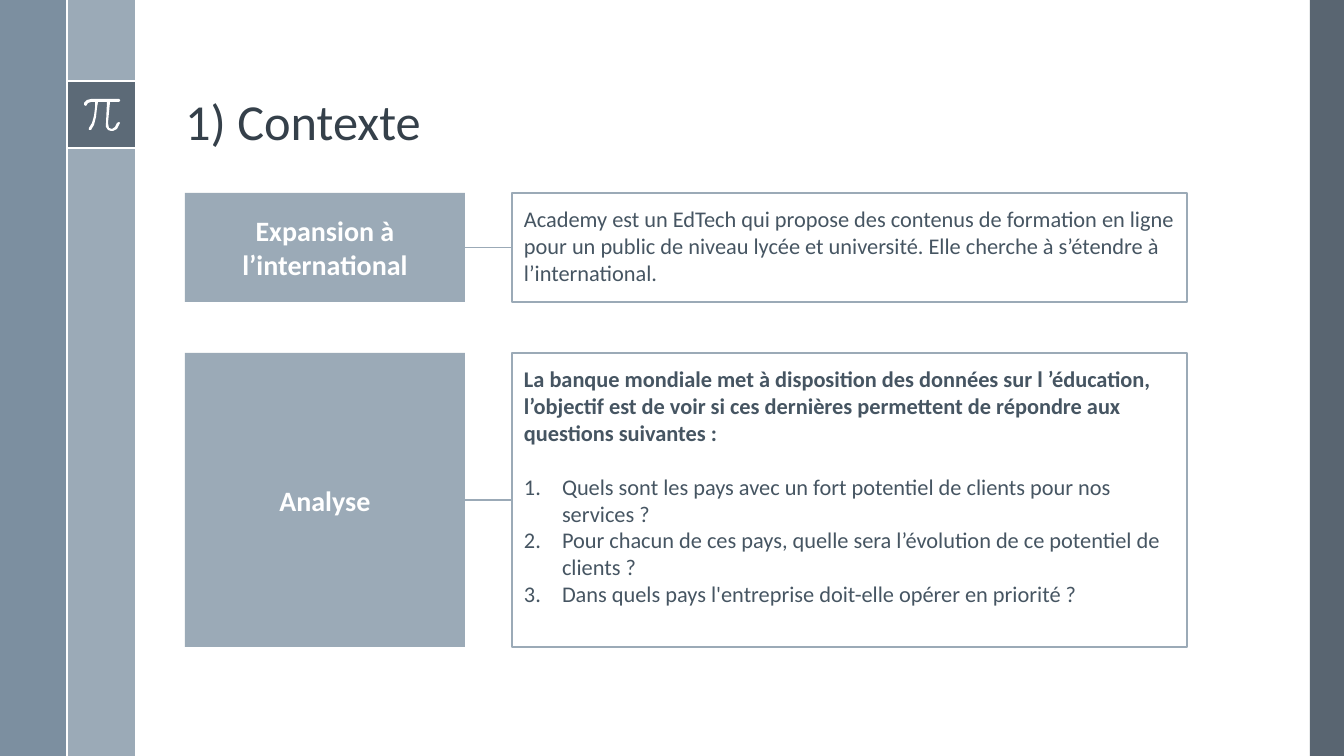
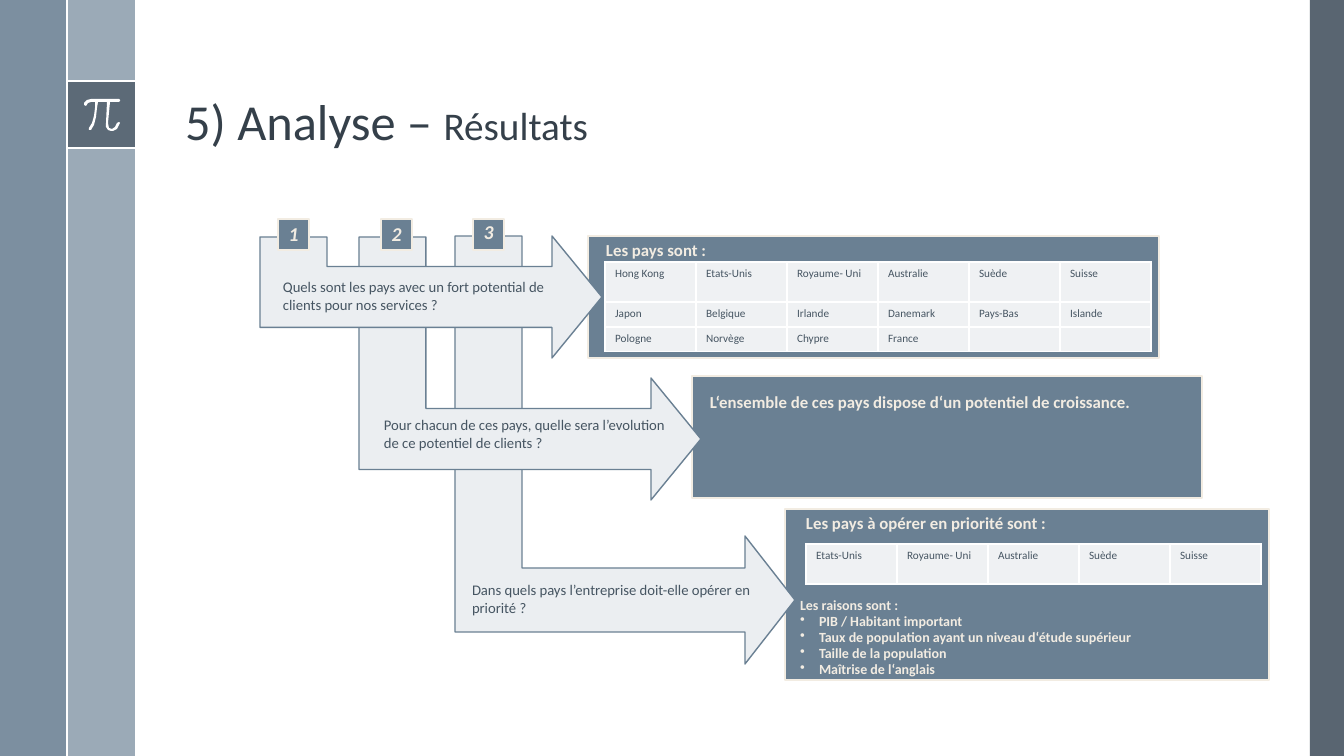
"""Build two slides, context and results, on a shared banded layout."""
from lxml.etree import SubElement
from pptx import Presentation
from pptx.dml.color import RGBColor
from pptx.enum.shapes import MSO_CONNECTOR, MSO_SHAPE
from pptx.enum.text import MSO_ANCHOR, MSO_AUTO_SIZE, PP_ALIGN
from pptx.oxml.ns import qn
from pptx.oxml.xmlchemy import OxmlElement
from pptx.util import Pt

SCALE = 914400 / 100.8
SLIDE_SIZE = (1344, 756)

WHITE, MIST, SLATE, DARK = "FFFFFF", "9BAAB7", "6A8093", "475562"
INK, TITLE_INK, CREAM = "465562", "35404A", "F2ECE2"
ARROW_FILL, CELL_FILL = "EBEEF1", "EFF1F3"

BANDS = [
    ((1310, 0, 34, 756), DARK, 90),
    ((67, 0, 68, 756), MIST, 100),
    ((0, 0, 67, 756), SLATE, 88),
    ((67, 81, 68, 67), DARK, 75),
]
BAND_LINES = [((67, 81), (135, 81)), ((67, 148), (135, 148)), ((67, 0), (67, 756))]
PI_OUTLINE = [
    (119, 99), (91, 99), (87, 100), (84, 103), (84, 105), (86, 106), (88, 103), (91, 102),
    (95, 102), (95, 108), (94, 116), (92, 123), (89, 128), (89, 130), (91, 130), (94, 125),
    (96, 117), (97, 108), (98, 102), (107, 102), (106, 123), (106, 127), (108, 130),
    (111, 131), (113, 131), (117, 129), (120, 123), (119, 122), (117, 123), (115, 127),
    (112, 129), (109, 128), (108, 123), (110, 102), (119, 102), (120, 101), (120, 100),
]

TITLE_BOX = (175, 19, 1079, 137)
TITLES = {
    "context": [("1) Contexte", 36)],
    "results": [("5) Analyse – ", 36), ("Résultats", 28)],
}

CARD_LABEL_LEFT, CARD_LABEL_WIDTH = 185, 280
CARD_BODY_LEFT, CARD_BODY_WIDTH = 512, 675
CARDS = [
    {
        "label": "Expansion à l’international", "top": 193, "height": 109,
        "body": [{"text": "Academy est un EdTech qui propose des contenus de formation en ligne "
                          "pour un public de niveau lycée et université. Elle cherche à s’étendre "
                          "à l’international."}],
    },
    {
        "label": "Analyse", "top": 353, "height": 294,
        "body": [
            {"text": "La banque mondiale met à disposition des données sur l ’éducation, "
                     "l’objectif est de voir si ces dernières permettent de répondre aux "
                     "questions suivantes :", "bold": True},
            {"text": "Quels sont les pays avec un fort potentiel de clients pour nos services ?",
             "marker": "number", "space_before": 19.5},
            {"text": "Pour chacun de ces pays, quelle sera l’évolution de ce potentiel de "
                     "clients ?", "marker": "number"},
            {"text": "Dans quels pays l'entreprise doit-elle opérer en priorité ?",
             "marker": "number"},
        ],
    },
]

PANELS = [(588, 236, 571, 122), (692, 376, 510, 122), (785, 509, 484, 171)]
STEM_WIDTH, HEAD_LENGTH = 67, 50
ARROWS = [
    {"left": 260, "top": 237, "tip": (602, 297), "half_head": 61},
    {"left": 359, "top": 237, "tip": (701, 439), "half_head": 61},
    {"left": 455, "top": 236, "tip": (795, 600), "half_head": 64},
]
BADGE_TOP, BADGE_SIZE = 219, 31
BADGES = [("1", 278, 4), ("2", 381, 4), ("3", 473, 0)]
QUESTION_SIZE = (306, 45)
QUESTIONS = [
    ("Quels sont les pays avec un fort potential de clients pour nos services ?", 273, 273),
    ("Pour chacun de ces pays, quelle sera l’evolution de ce potentiel de clients ?", 374, 411),
    ("Dans quels pays l’entreprise doit-elle opérer en priorité ?", 462, 576),
]
HEADINGS = [
    ("Les pays sont :", (606, 241, 361, 19)),
    ("L‘ensemble de ces pays dispose d‘un potentiel de croissance.", (710, 393, 485, 19)),
    ("Les pays à opérer en priorité sont :", (806, 514, 361, 19)),
]
COLUMN_WIDTH, FIRST_ROW_HEIGHT, ROW_HEIGHT = 91, 40, 25
TABLES = [
    ((605, 262), [
        ["Hong Kong", "Etats-Unis", "Royaume- Uni", "Australie", "Suède", "Suisse"],
        ["Japon", "Belgique", "Irlande", "Danemark", "Pays-Bas", "Islande"],
        ["Pologne", "Norvège", "Chypre", "France", "", ""],
    ]),
    ((806, 544), [["Etats-Unis", "Royaume- Uni", "Australie", "Suède", "Suisse"]]),
]
REASONS_BOX = (800, 597, 485, 81)
REASONS = [{"text": "Les raisons sont :"}] + [
    {"text": text, "marker": "bullet"} for text in (
        "PIB / Habitant important",
        "Taux de population ayant un niveau d‘étude supérieur",
        "Taille de la population",
        "Maîtrise de l‘anglais",
    )
]

MARKERS = {
    "number": (38, "a:buAutoNum", {"type": "arabicPeriod"}),
    "bullet": (19, "a:buChar", {"char": "•"}),
}
CARD_LABEL_FONT = {"size": Pt(20), "bold": True}
CARD_BODY_FONT = {"size": Pt(16), "bold": False}
BADGE_FONT = {"size": Pt(14), "bold": True, "italic": True}
QUESTION_FONT = {"size": Pt(10.5)}
HEADING_FONT = {"size": Pt(12), "bold": True}
REASON_FONT = {"size": Pt(10), "bold": True}
CELL_FONT = {"size": Pt(8), "bold": False}
CENTRED = {"alignment": PP_ALIGN.CENTER}
LEFT = {"alignment": PP_ALIGN.LEFT}
TIGHT = {"alignment": PP_ALIGN.LEFT, "line_spacing": 0.95}


def px(length):
    return round(length * SCALE)


def emu(lengths):
    return [px(length) for length in lengths]


def rgb(color):
    return RGBColor.from_string(color)


def assign(target, values):
    for name, value in values.items():
        setattr(target, name, value)


def add_run(paragraph, text, color, font):
    run = paragraph.add_run()
    run.text = text
    assign(run.font, {"name": "Calibri", **font})
    run.font.color.rgb = rgb(color)


def add_marker(paragraph, marker):
    indent, tag, attributes = MARKERS[marker]
    properties = paragraph._p.get_or_add_pPr()
    properties.set("marL", str(px(indent)))
    properties.set("indent", str(-px(indent)))
    SubElement(properties, qn(tag), attributes)


def write(frame, items, color, font, layout=LEFT, anchor=MSO_ANCHOR.TOP, margins=(10, 5, 10, 5),
          wrap=True):
    sides = ("margin_left", "margin_top", "margin_right", "margin_bottom")
    assign(frame, {"word_wrap": wrap, "vertical_anchor": anchor, **dict(zip(sides, emu(margins)))})
    for index, item in enumerate(items):
        paragraph = frame.add_paragraph() if index else frame.paragraphs[0]
        if "marker" in item:
            add_marker(paragraph, item["marker"])
        assign(paragraph, layout)
        if "space_before" in item:
            paragraph.space_before = Pt(item["space_before"])
        add_run(paragraph, item["text"], color, {**font, "bold": item.get("bold", font.get("bold"))})


def paint(shape, fill=None, line=None, alpha=100):
    shape.shadow.inherit = False
    if fill:
        shape.fill.solid()
        shape.fill.fore_color.rgb = rgb(fill)
        if alpha < 100:
            color = shape.fill._xPr.find(qn("a:solidFill"))[0]
            SubElement(color, qn("a:alpha"), val=str(alpha * 1000))
    else:
        shape.fill.background()
    if line:
        shape.line.color.rgb = rgb(line)
        shape.line.width = Pt(1)
    else:
        shape.line.fill.background()
    return shape


def add_box(slide, box, **colors):
    return paint(slide.shapes.add_shape(MSO_SHAPE.RECTANGLE, *emu(box)), **colors)


def add_outline(slide, points, **colors):
    start, *others = [emu(point) for point in points]
    builder = slide.shapes.build_freeform(*start)
    builder.add_line_segments(others, close=True)
    return paint(builder.convert_to_shape(), **colors)


def add_line(slide, start, end, color, width):
    line = slide.shapes.add_connector(MSO_CONNECTOR.STRAIGHT, *emu(start), *emu(end))
    line.line.color.rgb = rgb(color)
    line.line.width = Pt(width)
    SubElement(line._element.spPr, qn("a:effectLst"))


def add_text(slide, box, items, color, font, **options):
    write(slide.shapes.add_textbox(*emu(box)).text_frame, items, color, font, **options)


def add_title(slide, runs):
    title = slide.shapes.title
    assign(title, dict(zip(("left", "top", "width", "height"), emu(TITLE_BOX))))
    assign(title.text_frame, {"vertical_anchor": MSO_ANCHOR.BOTTOM, "word_wrap": True,
                              "auto_size": MSO_AUTO_SIZE.NONE})
    paragraph = title.text_frame.paragraphs[0]
    assign(paragraph, {"alignment": PP_ALIGN.LEFT, "line_spacing": 0.9})
    for text, size in runs:
        add_run(paragraph, text, TITLE_INK, {"size": Pt(size)})


def add_bands_to_layout(slide):
    layout = slide.slide_layout
    for placeholder in list(layout.placeholders)[1:]:
        layout.shapes.element.remove(placeholder.element)
    for box, fill, alpha in BANDS:
        add_box(slide, box, fill=fill, alpha=alpha)
    for start, end in BAND_LINES:
        add_line(slide, start, end, WHITE, 1.5)
    add_outline(slide, PI_OUTLINE, fill=WHITE)
    for shape in list(slide.shapes)[1:]:
        layout.shapes.element.append(shape.element)


def add_card(slide, card):
    top, height = card["top"], card["height"]
    body = add_box(slide, (CARD_BODY_LEFT, top, CARD_BODY_WIDTH, height), line=MIST)
    write(body.text_frame, card["body"], INK, CARD_BODY_FONT, margins=(12, 12, 12, 12))
    label = add_box(slide, (CARD_LABEL_LEFT, top, CARD_LABEL_WIDTH, height), fill=MIST)
    write(label.text_frame, [{"text": card["label"]}], WHITE, CARD_LABEL_FONT, CENTRED,
          MSO_ANCHOR.MIDDLE)
    middle = top + height / 2
    add_line(slide, (CARD_LABEL_LEFT + CARD_LABEL_WIDTH, middle), (CARD_BODY_LEFT, middle), MIST, 1)


def add_arrow(slide, left, top, tip, half_head):
    tip_x, middle = tip
    neck, stem_right, half_bar = tip_x - HEAD_LENGTH, left + STEM_WIDTH, half_head / 2
    points = [
        (left, top), (stem_right, top), (stem_right, middle - half_bar),
        (neck, middle - half_bar), (neck, middle - half_head), tip,
        (neck, middle + half_head), (neck, middle + half_bar), (left, middle + half_bar),
    ]
    add_outline(slide, points, fill=ARROW_FILL, line=SLATE)


def format_cell(cell, text):
    cell.fill.solid()
    cell.fill.fore_color.rgb = rgb(CELL_FILL)
    properties = cell._tc.get_or_add_tcPr()
    for index, side in enumerate("LRTB"):
        border = OxmlElement(f"a:ln{side}")
        border.set("w", str(Pt(1)))
        SubElement(SubElement(border, qn("a:solidFill")), qn("a:srgbClr"), val=WHITE)
        properties.insert(index, border)
    paragraph = cell.text_frame.paragraphs[0]
    if text:
        add_run(paragraph, text, INK, CELL_FONT)
    else:
        SubElement(paragraph._p, qn("a:endParaRPr"), sz="800")


def add_country_table(slide, position, rows):
    heights = [FIRST_ROW_HEIGHT] + [ROW_HEIGHT] * (len(rows) - 1)
    size = (COLUMN_WIDTH * len(rows[0]), sum(heights))
    table = slide.shapes.add_table(len(rows), len(rows[0]), *emu(position + size)).table
    assign(table, {"first_row": False, "horz_banding": False})
    for column in table.columns:
        column.width = px(COLUMN_WIDTH)
    for row, height, texts in zip(table.rows, heights, rows):
        row.height = px(height)
        for cell, text in zip(row.cells, texts):
            format_cell(cell, text)


def build_results(slide):
    for box in PANELS:
        add_box(slide, box, fill=SLATE, line=CREAM)
    for arrow in reversed(ARROWS):
        add_arrow(slide, **arrow)
    for number, left, margin_top in BADGES:
        badge = add_box(slide, (left, BADGE_TOP, BADGE_SIZE, BADGE_SIZE), fill=SLATE, line=CREAM)
        write(badge.text_frame, [{"text": number}], CREAM, BADGE_FONT, CENTRED, MSO_ANCHOR.MIDDLE,
              (11, margin_top, 11, 6), wrap=False)
    for text, left, top in QUESTIONS:
        add_text(slide, (left, top) + QUESTION_SIZE, [{"text": text}], INK, QUESTION_FONT)
    panel_text = {"layout": TIGHT, "anchor": MSO_ANCHOR.MIDDLE, "margins": (0, 0, 0, 0)}
    for text, box in HEADINGS:
        add_text(slide, box, [{"text": text}], CREAM, HEADING_FONT, **panel_text)
    for position, rows in TABLES:
        add_country_table(slide, position, rows)
    add_text(slide, REASONS_BOX, REASONS, CREAM, REASON_FONT, **panel_text)


def main():
    presentation = Presentation()
    presentation.slide_width, presentation.slide_height = emu(SLIDE_SIZE)
    title_only = presentation.slide_layouts[5]
    context, results = [presentation.slides.add_slide(title_only) for _ in TITLES]
    add_bands_to_layout(context)
    for slide, runs in zip((context, results), TITLES.values()):
        add_title(slide, runs)
    for card in CARDS:
        add_card(context, card)
    build_results(results)
    presentation.save("out.pptx")


if __name__ == "__main__":
    main()
